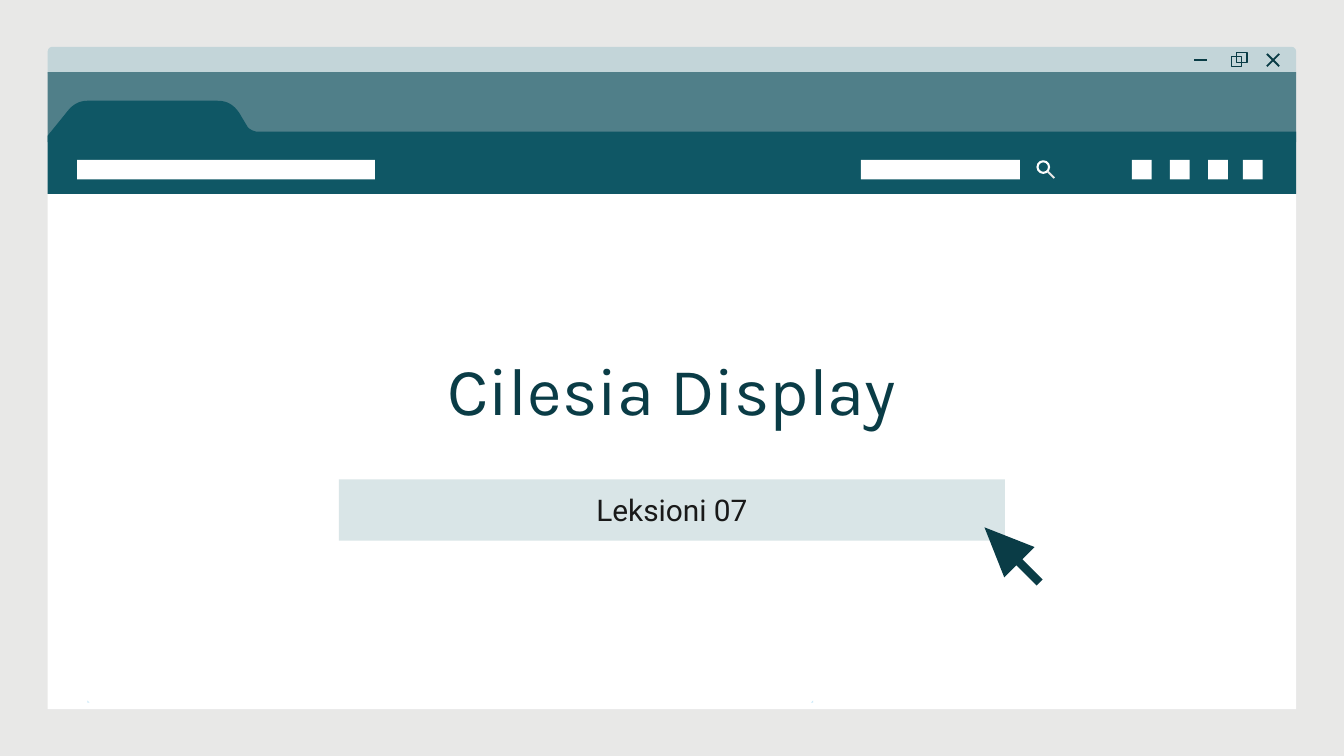
import pptx
import pptx.util
import pptx.dml.color
import pptx.enum.shapes
import pptx.enum.text
import pptx.oxml.ns
import lxml.etree

Pt = pptx.util.Pt
MSO = pptx.enum.shapes.MSO_SHAPE
DARK, TEAL, PALE, WHITE = "0A3C46", "0F5765", "C3D5D9", "FFFFFF"


def rgb(color):
    return pptx.dml.color.RGBColor.from_string(color)


def paint(sp, fill=None, line=None, width=0.75):
    sp.shadow.inherit = False
    if fill:
        sp.fill.solid()
        sp.fill.fore_color.rgb = rgb(fill)
    else:
        sp.fill.background()
    if line:
        sp.line.color.rgb = rgb(line)
        sp.line.width = Pt(width)
    else:
        sp.line.fill.background()


prs = pptx.Presentation()
prs.slide_width, prs.slide_height = Pt(720), Pt(405)
s = prs.slides.add_slide(prs.slide_layouts[0])
s.background.fill.solid()
s.background.fill.fore_color.rgb = rgb("E8E8E7")

left, right = 25.6, 694.4
width = right - left
for kind, x, y, w, h, fill in (
    (MSO.ROUND_2_SAME_RECTANGLE, left, 25.1, width, 14.6, PALE),
    (MSO.RECTANGLE, left, 38.6, width, 37.5, "507F89"),
    (MSO.RECTANGLE, left, 103.9, width, 276, WHITE),
):
    sp = s.shapes.add_shape(kind, Pt(x), Pt(y), Pt(w), Pt(h))
    paint(sp, fill)

toolbar = [
    (left, 72.7), (36.7, 59), (38.9, 56.2, 42.5, 54, 46.8, 54),
    (116.6, 54), (121.7, 54, 125.3, 56.2, 128.2, 60.5),
    (132.5, 67.7), (133.2, 69.1, 136.1, 70.6, 138.2, 70.6),
    (right, 70.6), (right, 103.9),
]
points = [(left, 103.9)]
for seg in toolbar:
    if len(seg) == 2:
        points.append(seg)
        continue
    ctrl = [points[-1], seg[:2], seg[2:4], seg[4:]]
    for step in range(1, 9):
        t = step / 8
        weights = ((1 - t) ** 3, 3 * t * (1 - t) ** 2, 3 * t * t * (1 - t), t ** 3)
        points.append(tuple(sum(k * c[i] for k, c in zip(weights, ctrl)) for i in (0, 1)))

specks = [
    [(46.8, 375.3), (46.8, 376.4), (47.9, 376.4)],
    [(435.6, 375.3), (434.5, 376.4), (435.6, 376.4)],
]
for outline, fill in [(points, TEAL)] + [(speck, "CAE8F8") for speck in specks]:
    outline = [(Pt(x), Pt(y)) for x, y in outline]
    fb = s.shapes.build_freeform(*outline[0])
    fb.add_line_segments(outline[1:])
    paint(fb.convert_to_shape(), fill)

fields = [(41.3, 159.6), (461.2, 85.2)]
buttons = [(x, 10.6) for x in (606.4, 626.8, 647.2, 665.8)]
for x, w in fields + buttons:
    sp = s.shapes.add_shape(MSO.RECTANGLE, Pt(x), Pt(85.7), Pt(w), Pt(10.4))
    paint(sp, WHITE)

for kind, x, y, size, color, weight in (
    (MSO.RECTANGLE, 659.7, 30.2, 5.5, DARK, 0.75),
    (MSO.RECTANGLE, 662.5, 28, 5.5, DARK, 0.75),
    (MSO.OVAL, 555.8, 86.4, 6.2, WHITE, 1.1),
):
    sp = s.shapes.add_shape(kind, Pt(x), Pt(y), Pt(size), Pt(size))
    paint(sp, None, color, weight)

for x1, y1, x2, y2, color in (
    (639.8, 32.1, 646.8, 32.1, DARK),
    (678.7, 28.9, 685.3, 35.5, DARK),
    (678.7, 35.5, 685.3, 28.9, DARK),
    (561.2, 91.8, 564.8, 95.4, "E8E8E7"),
):
    line = s.shapes.add_connector(
        pptx.enum.shapes.MSO_CONNECTOR.STRAIGHT, Pt(x1), Pt(y1), Pt(x2), Pt(y2))
    line.line.color.rgb = rgb(color)
    line.line.width = Pt(1)
    lxml.etree.SubElement(line._element.spPr, pptx.oxml.ns.qn("a:effectLst"))

title, subtitle = s.placeholders
for sp, box, text, font, size, color in (
    (title, (84.3, 177.1, 551.4, 62), "Cilesia Display", "Karla", 36, DARK),
    (subtitle, (181.6, 256.8, 356.8, 32.9), "Leksioni 07", "Roboto", 16, "191919"),
):
    sp.left, sp.top, sp.width, sp.height = [Pt(v) for v in box]
    s.shapes._spTree.append(sp._element)
    tf = sp.text_frame
    tf.text = text
    tf.word_wrap = True
    tf.auto_size = pptx.enum.text.MSO_AUTO_SIZE.NONE
    tf.vertical_anchor = pptx.enum.text.MSO_ANCHOR.MIDDLE
    tf.margin_left = tf.margin_right = tf.margin_top = tf.margin_bottom = Pt(7.2)
    p = tf.paragraphs[0]
    p.alignment = pptx.enum.text.PP_ALIGN.CENTER
    p.space_before = Pt(0)
    p.font.name = font
    p.font.size = Pt(size)
    p.font.color.rgb = rgb(color)
subtitle.fill.solid()
subtitle.fill.fore_color.rgb = rgb("D9E5E7")

cursor = s.shapes.add_shape(MSO.RIGHT_ARROW, Pt(521.3), Pt(285.8), Pt(41.8), Pt(23))
cursor.rotation = 225
cursor.adjustments[0] = 0.2
cursor.adjustments[1] = 1.15
paint(cursor, DARK)

prs.save("out.pptx")
